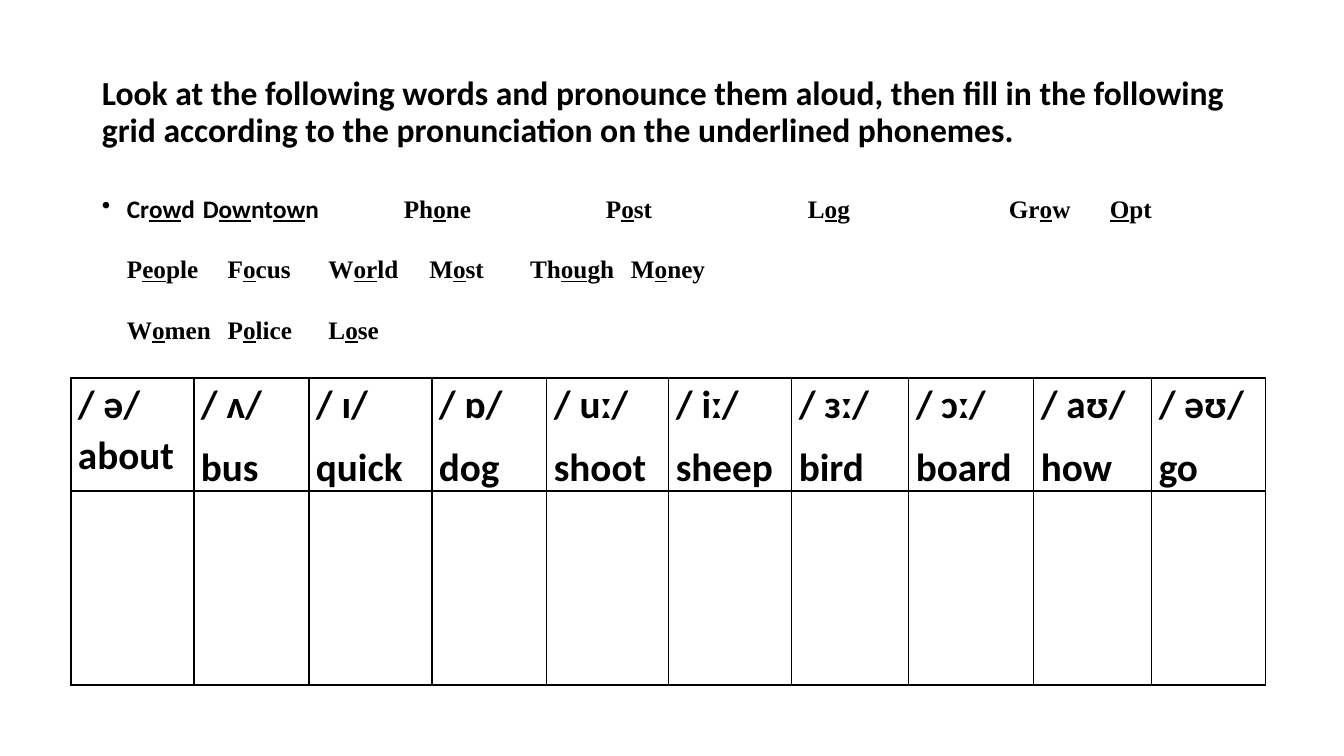
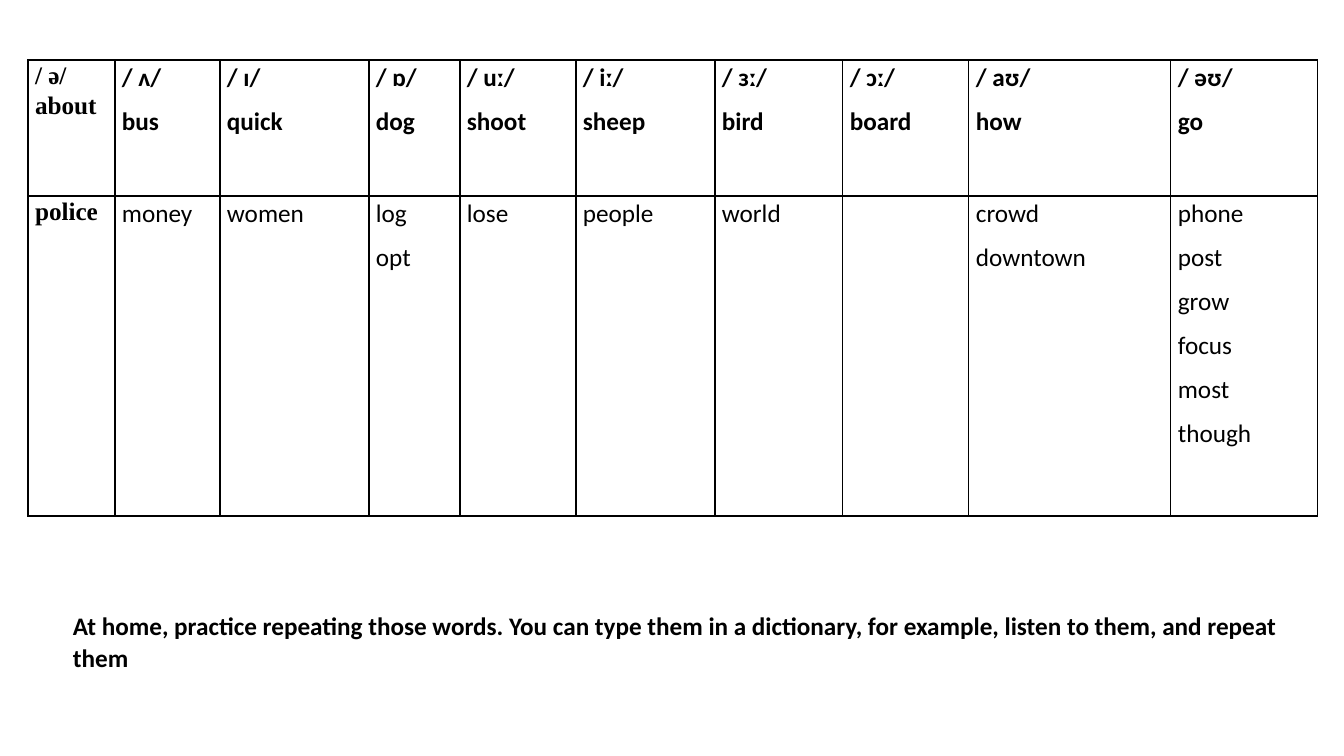
import pptx
import pptx.dml.color
import pptx.enum.text
import pptx.oxml
import pptx.oxml.ns
import pptx.util

EMU_PER_PIXEL = 914400 / 100.8
SANS, SERIF = "Calibri", "Times New Roman"
INK, PAPER = "000000", "FFFFFF"
NAMESPACE = pptx.oxml.ns.nsdecls("a")


def px(pixels):
    return pptx.util.Emu(round(pixels * EMU_PER_PIXEL))


def color(value):
    return pptx.dml.color.RGBColor.from_string(value)


def add_span(para, text, size=18, font=SANS, bold=True, underline=False):
    span = para.add_run()
    span.text = text
    span.font.size = pptx.util.Pt(size)
    span.font.name = font
    span.font.bold = bold
    span.font.underline = underline
    span.font.color.rgb = color(INK)


def set_spacing(para, line, before=0, after=0):
    para.line_spacing = line
    para.space_before = pptx.util.Pt(before)
    para.space_after = pptx.util.Pt(after)


def set_indent(para, left, first=0):
    properties = para._p.get_or_add_pPr()
    properties.set("marL", str(px(left)))
    properties.set("indent", str(px(first)))
    return properties


class Lesson:
    """Holds the style of the deck and the current page."""

    def __init__(self):
        self.deck = pptx.Presentation()
        self.deck.slide_width = px(1344)
        self.deck.slide_height = px(756)
        self.page = None

    def new_page(self):
        self.page = self.deck.slides.add_slide(self.deck.slide_layouts[6])
        self.page.background.fill.solid()
        self.page.background.fill.fore_color.rgb = color(PAPER)

    def text_frame(self, left, top, width, height):
        box = self.page.shapes.add_textbox(px(left), px(top), px(width), px(height))
        box.text_frame.word_wrap = True
        return box.text_frame

    def title(self, text):
        frame = self.text_frame(92, 40, 1160, 146)
        frame.vertical_anchor = pptx.enum.text.MSO_ANCHOR.MIDDLE
        para = frame.paragraphs[0]
        set_spacing(para, 0.9)
        add_span(para, text, size=24)

    def word_list(self, rows):
        """Each row is (tab stops, words); brackets mark underlined letters."""
        frame = self.text_frame(92, 158, 1160, 522)
        for index, (stops, words) in enumerate(rows):
            first = index == 0
            para = frame.paragraphs[0] if first else frame.add_paragraph()
            set_spacing(para, 2, before=10 if first else 0)
            properties = set_indent(para, 25, -25 if first else 0)
            if first:
                properties.append(pptx.oxml.parse_xml(f'<a:buChar {NAMESPACE} char="•"/>'))
            tabs = "".join(f'<a:tab pos="{px(stop)}" algn="l"/>' for stop in stops)
            properties.append(pptx.oxml.parse_xml(f"<a:tabLst {NAMESPACE}>{tabs}</a:tabLst>"))
            for place, word in enumerate(words):
                font = SANS if first and place < 2 else SERIF
                if place:
                    add_span(para, "\t", font=font)
                for part, letters in enumerate(word.replace("]", "[").split("[")):
                    if letters:
                        add_span(para, letters, font=font, underline=part % 2 == 1)

    def fill_cell(self, cell, lines, **style):
        cell.fill.solid()
        cell.fill.fore_color.rgb = color(PAPER)
        cell.margin_left = cell.margin_right = px(7)
        cell.margin_top = cell.margin_bottom = 0
        properties = cell._tc.get_or_add_tcPr()
        for index, side in enumerate(("lnL", "lnR", "lnT", "lnB")):
            properties.insert(index, pptx.oxml.parse_xml(
                f'<a:{side} {NAMESPACE} w="12700"><a:solidFill>'
                f'<a:srgbClr val="{INK}"/></a:solidFill></a:{side}>'))
        for index, line in enumerate(lines):
            frame = cell.text_frame
            para = frame.add_paragraph() if index else frame.paragraphs[0]
            set_spacing(para, 1.07, after=8)
            add_span(para, line, **style)

    def sound_grid(self, left, top, columns, heights, answers, size, first_font):
        grid = self.page.shapes.add_table(
            2, len(columns), px(left), px(top), px(sum(columns)), px(sum(heights))).table
        grid.first_row = grid.horz_banding = False
        for row, height in zip(grid.rows, heights):
            row.height = px(height)
        for index, width in enumerate(columns):
            grid.columns[index].width = px(width)
            font = SANS if index else first_font
            self.fill_cell(grid.cell(0, index), SOUNDS[index], size=size, font=font)
            self.fill_cell(grid.cell(1, index), answers[index], font=font, bold=index == 0)

    def homework(self, text):
        frame = self.text_frame(38, 561, 1279, 161)
        frame.margin_top = px(47)
        para = frame.paragraphs[0]
        set_spacing(para, 1.07, after=8)
        set_indent(para, 25)
        add_span(para, text)


# Sounds heading both grids
SOUNDS = [["/ ə/ about"], ["/ ʌ/", "bus"], ["/ ɪ/", "quick"], ["/ ɒ/", "dog"],
          ["/ uː/", "shoot"], ["/ iː/", "sheep"], ["/ ɜː/", "bird"],
          ["/ ɔː/", "board"], ["/ aʊ/", "how"], ["/ əʊ/", "go"]]

lesson = Lesson()

# Exercise
lesson.new_page()
lesson.title("Look at the following words and pronounce them aloud, then fill in the "
             "following grid according to the pronunciation on the underlined phonemes.")
lesson.word_list([
    ((101, 302, 504, 706, 907, 1008),
     ("Cr[ow]d", "D[ow]nt[ow]n", "Ph[o]ne", "P[o]st", "L[o]g", "Gr[o]w", "[O]pt")),
    ((202, 403, 605, 806, 964),
     ("P[eo]ple", "F[o]cus", "W[or]ld", "M[o]st", "Th[ou]gh", "M[o]ney")),
    ((202, 403), ("W[o]men", "P[o]lice", "L[o]se")),
])
lesson.sound_grid(71, 378, (123, 115, 123, 115, 122, 123, 117, 125, 118, 114), (113, 194),
                  [[] for sound in SOUNDS], size=28, first_font=SANS)

# Answers
lesson.new_page()
lesson.sound_grid(
    28, 60, (87, 105, 149, 91, 116, 139, 128, 126, 202, 147), (136, 320),
    [["police"], ["money"], ["women"], ["log", "opt"], ["lose"], ["people"], ["world"], [],
     ["crowd", "downtown"], ["phone", "post", "grow", "focus", "most", "though"]],
    size=18, first_font=SERIF)
lesson.homework("At home, practice repeating those words. You can type them in a dictionary, "
                "for example, listen to them, and repeat them")

lesson.deck.save("out.pptx")
